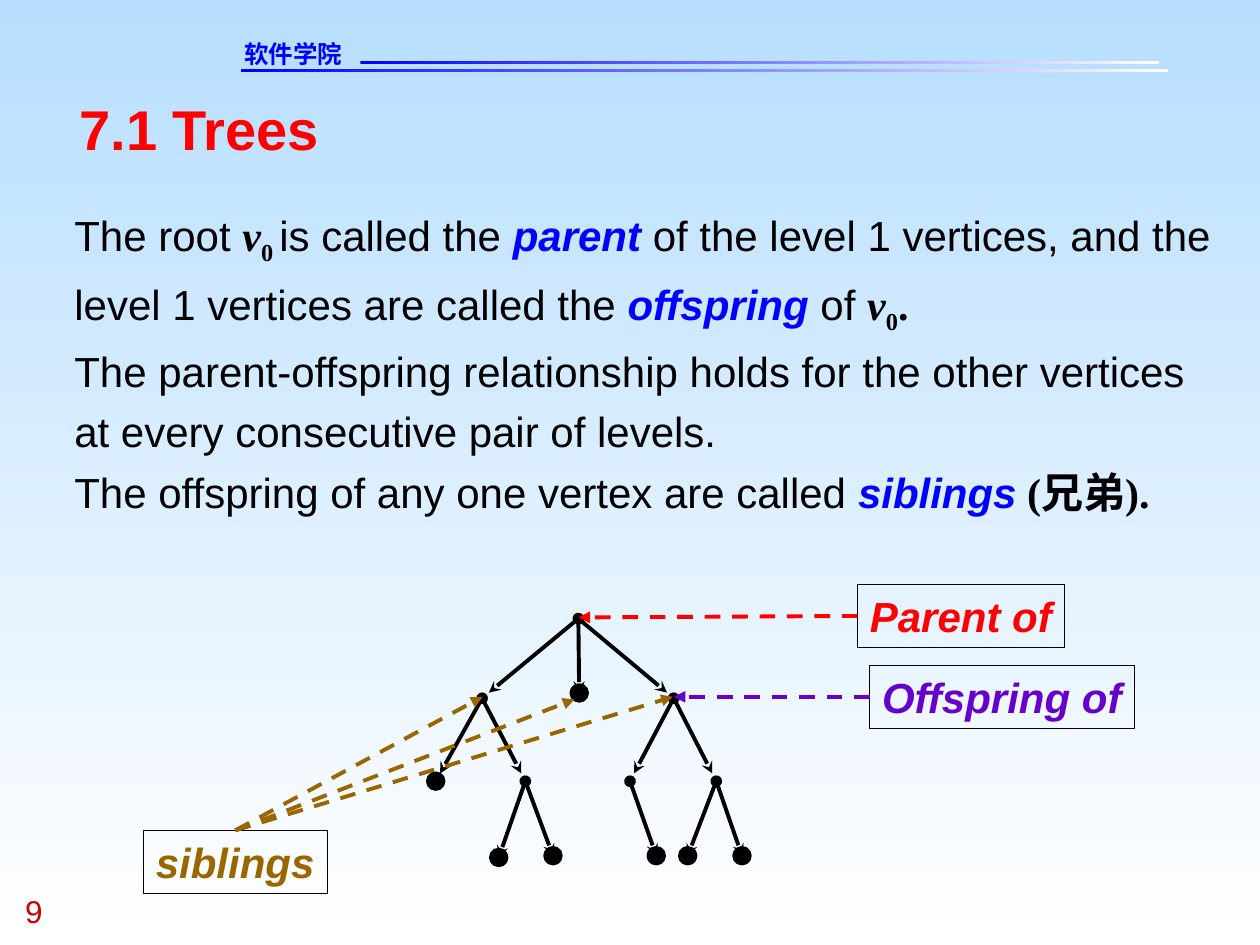
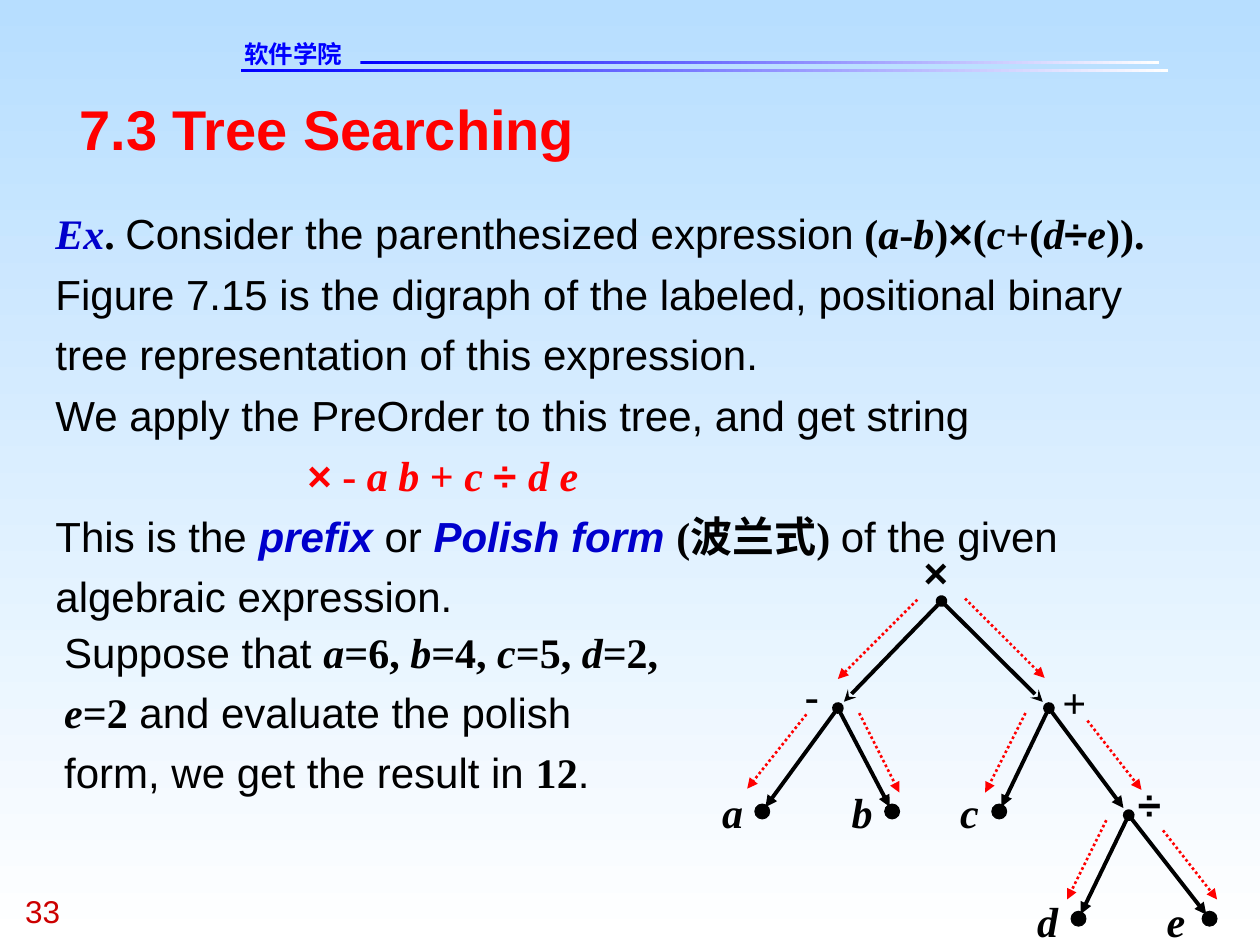
from math import hypot

from lxml.etree import SubElement
from pptx import Presentation
from pptx.dml.color import RGBColor
from pptx.enum.dml import MSO_LINE
from pptx.enum.shapes import MSO_CONNECTOR, MSO_SHAPE
from pptx.enum.text import MSO_ANCHOR, MSO_AUTO_SIZE, PP_ALIGN
from pptx.oxml.ns import qn
from pptx.util import Pt

# Shared colours and text formats
BLACK, RED, BLUE, NAVY = "000000", "FF0000", "0000FF", "0000CC"
PURPLE, BROWN, SKY, WHITE, NUMBER = "6600CC", "996600", "B7DEFF", "FFFFFF", "CC0000"
rgb = RGBColor.from_string

SANS, SERIF = "Arial", "Times New Roman"
FORMATS = {
    "text": dict(name=SANS, size=Pt(24), bold=False, italic=False),
    "sign": dict(name=SANS, size=Pt(24), bold=True, italic=False),
    "term": dict(name=SANS, size=Pt(24), bold=True, italic=True),
    "math": dict(name=SERIF, size=Pt(24), bold=True, italic=False),
    "sub": dict(name=SERIF, size=Pt(24), bold=True, italic=False),
    "var": dict(name=SERIF, size=Pt(24), bold=True, italic=True),
    "title": dict(name=SANS, size=Pt(32), bold=True, italic=False),
    "school": dict(name="DejaVu Sans", size=Pt(14), bold=True),
    "number": dict(name=SANS, size=Pt(18), bold=False),
}


def write(sp, paragraphs, spacing=1.0, margins=(0, 0), wrap=True):
    """Fill a shape; a run is (text, format) or (text, format, colour)."""
    tf = sp.text_frame
    tf.word_wrap, tf.auto_size = wrap, MSO_AUTO_SIZE.NONE
    tf.vertical_anchor = MSO_ANCHOR.TOP
    tf.margin_left = tf.margin_right = Pt(margins[0])
    tf.margin_top = tf.margin_bottom = Pt(margins[1])
    for i, runs in enumerate(paragraphs):
        p = tf.add_paragraph() if i else tf.paragraphs[0]
        p.alignment, p.line_spacing = PP_ALIGN.LEFT, spacing
        p.space_before = Pt(0)
        pPr = p._p.get_or_add_pPr()
        pPr.set("marL", "0")
        pPr.set("indent", "0")
        SubElement(pPr, qn("a:buNone"))
        for text, fmt, *color in runs:
            r = p.add_run()
            r.text = text
            for key, value in FORMATS[fmt].items():
                setattr(r.font, key, value)
            r.font.color.rgb = rgb(color[0] if color else BLACK)
            if fmt == "sub":
                r.font._element.set("baseline", "-25000")


def arrow(s, start, end, color, width, tail, head=None, dash=None):
    """Draw a straight arrow between two points."""
    c = s.shapes.add_connector(MSO_CONNECTOR.STRAIGHT, *map(Pt, (*start, *end)))
    c.line.color.rgb, c.line.width = rgb(color), Pt(width)
    if dash:
        c.line.dash_style = dash
    ln = c.line._get_or_add_ln()
    if head:
        SubElement(ln, qn("a:headEnd"), type=head)
    SubElement(ln, qn("a:tailEnd"), type=tail)
    SubElement(c._element.spPr, qn("a:effectLst"))
    return c


prs = Presentation()
prs.slide_width, prs.slide_height = Pt(720), Pt(540)
master = prs.slide_master

# Slide text
parent_text = [
    [("The root ", "text"), ("v", "var"), ("0 ", "sub"), ("is called the", "text"),
     (" parent ", "term", BLUE),
     ("of the level 1 vertices, and the level 1 vertices are called the", "text"),
     (" offspring ", "term", BLUE), ("of ", "text"), ("v", "var"), ("0", "sub"),
     (".", "math")],
    [("The parent-offspring relationship holds for the other vertices "
      "at every consecutive pair of levels.", "text")],
    [("The offspring of any one vertex are called", "text"),
     (" siblings", "term", BLUE), (" (兄弟).", "math")],
]
polish_text = [
    [("Ex", "var", NAVY), (". ", "math"),
     ("Consider the parenthesized expression", "text"), (" (", "math"),
     ("a", "var"), ("-", "math"), ("b", "var"), (")", "math"), ("×", "sign"),
     ("(", "math"), ("c", "var"), ("+(", "math"), ("d", "var"), ("÷", "sign"),
     ("e", "var"), (")).", "math")],
    [("Figure 7.15 is the digraph of the labeled, positional binary tree "
      "representation of this expression.", "text")],
    [("We apply the PreOrder to this tree, and get string", "text")],
    [("×", "sign", RED), (" - ", "math", RED), ("a b ", "var", RED),
     ("+ ", "math", RED), ("c ", "var", RED), ("÷ ", "sign", RED),
     ("d e", "var", RED)],
    [("This is the ", "text"), ("prefix ", "term", NAVY), ("or ", "text"),
     ("Polish form ", "term", NAVY), ("(波兰式) ", "math"),
     ("of the given algebraic expression.", "text")],
]
pages = [
    ("7.1 Trees", "9", parent_text, (42.5, 113, 653, 217)),
    ("7.3 Tree Searching", "33", polish_text, (31.7, 113, 655, 276.5)),
]

# Title, body and page number of each slide
for title, number, body, box in pages:
    s = prs.slides.add_slide(prs.slide_layouts[1])
    heading, content = s.placeholders
    for sp, place in ((heading, (45.4, 54, 630, 38)), (content, box)):
        sp.left, sp.top, sp.width, sp.height = map(Pt, place)
    write(heading, [[(title, "title", RED)]])
    write(content, body, spacing=1.2)
    sp = s.shapes.add_textbox(Pt(14.4), Pt(509.8), Pt(54), Pt(21.6))
    write(sp, [[(number, "number", NUMBER)]])
trees, search = prs.slides

# Master: background, two header rules and the school name
rules = [trees.shapes.add_shape(MSO_SHAPE.RECTANGLE, *map(Pt, place))
         for place in ((137.5, 39.6, 530, 1.6), (206, 35, 456.5, 1.6))]
for fill, angle, colors in [(master.background.fill, 270, (SKY, WHITE)),
                            *((sp.fill, 0, (BLUE, WHITE)) for sp in rules)]:
    fill.gradient()
    fill.gradient_angle = angle
    for stop, color in zip(fill.gradient_stops, colors):
        stop.color.rgb = rgb(color)
for sp in rules:
    sp.line.fill.background()
    sp.shadow.inherit = False
school = trees.shapes.add_textbox(Pt(139.5), Pt(22.5), Pt(104.5), Pt(16.6))
write(school, [[("软件学院", "school", BLUE)]])
for sp in (*rules, school):
    master.shapes._spTree.append(sp._element)

# The string in prefix form is indented
search.placeholders[1].text_frame.paragraphs[3]._p.pPr.set("marL", str(Pt(144)))

# Trees: node -> (x, y, gap left before the arrow tip), parent -> children
level_nodes = {
    "root": (330.5, 353.5, 0),
    "left": (275.5, 399, 5), "middle": (331, 396, 0), "right": (385, 399, 5),
    "L1": (249, 446.4, 5), "L2": (300.2, 446.4, 5),
    "R1": (360, 446.4, 5), "R2": (409.3, 446.4, 5),
    "L21": (285, 490, 0), "L22": (316, 489, 0), "R11": (375, 489, 0),
    "R21": (393, 489, 0), "R22": (424, 489, 0),
}
level_edges = {
    "root": ("left", "middle", "right"), "left": ("L1", "L2"), "right": ("R1", "R2"),
    "L2": ("L21", "L22"), "R1": ("R11",), "R2": ("R21", "R22"),
}
expr_nodes = {
    "×": (538, 343.5, 0), "-": (478.8, 404.6, 5), "+": (599.4, 404.6, 5),
    "a": (435.6, 463.7, 3), "b": (509.8, 463.7, 3), "c": (571, 463.7, 3),
    "÷": (645, 465.8, 5), "d": (616.3, 525, 3), "e": (691.2, 525, 3),
}
expr_edges = {"×": ("-", "+"), "-": ("a", "b"), "+": ("c", "÷"), "÷": ("d", "e")}

for s, nodes, edges, tips, outline in (
        (trees, level_nodes, level_edges, ("stealth", "stealth"), 2.5),
        (search, expr_nodes, expr_edges, ("stealth", "triangle"), 0.5)):
    for i, (parent, children) in enumerate(edges.items()):
        x0, y0, _ = nodes[parent]
        for j, child in enumerate(children):
            x, y, gap = nodes[child]
            k = 1 - gap / hypot(x - x0, y - y0)
            arrow(s, (x0, y0), (x0 + k * (x - x0), y0 + k * (y - y0)), BLACK, 2.25,
                  tips[min(i, 1)], head=None if j else "oval")
    for name, (x, y, _) in nodes.items():
        if name not in edges:
            sp = s.shapes.add_shape(MSO_SHAPE.OVAL, Pt(x - 4.3), Pt(y - 4.3),
                                    Pt(8.6), Pt(8.6))
            sp.fill.solid()
            sp.fill.fore_color.rgb = sp.line.color.rgb = rgb(BLACK)
            sp.line.width = Pt(outline)
            sp.shadow.inherit = False

# Slide 1: callouts, each with the side and targets of its dashed arrows
callouts = [
    ("Parent of", RED, (490, 334, 118.4, 36), 1, [(330.5, 352.8)]),
    ("Offspring of", PURPLE, (497, 380.2, 151.2, 36), 1, [(385, 398.2)]),
    ("siblings", BROWN, (82, 474.5, 105, 36), 0,
     [(275.8, 398.2), (328.3, 399.6), (384.5, 398.2)]),
]
for text, color, place, side, targets in callouts:
    sp = trees.shapes.add_shape(MSO_SHAPE.RECTANGLE, *map(Pt, place))
    sp.fill.background()
    sp.line.color.rgb, sp.line.width = rgb(BLACK), Pt(0.75)
    sp.shadow.inherit = False
    write(sp, [[(text, "term", color)]], margins=(7.2, 3.6), wrap=False)
    for target in targets:
        c = arrow(trees, place[:2], target, color, 2.25, "triangle",
                  dash=MSO_LINE.DASH)
        c.begin_connect(sp, side)

# Slide 2: node labels
labels = [
    ("×", "sign", 527.8, 312.5, 19.4), ("-", "math", 460, 382.3, 8),
    ("+", "math", 607, 386.6, 13.7), ("÷", "sign", 650.2, 445, 19.4),
    ("a", "var", 412.6, 449.3, 12.2), ("b", "var", 486.7, 449.3, 12.2),
    ("c", "var", 548.6, 449.3, 10.8), ("d", "var", 592.6, 512, 12.2),
    ("e", "var", 666.7, 512, 10.8),
]
for text, fmt, x, y, width in labels:
    sp = search.shapes.add_textbox(Pt(x), Pt(y), Pt(width), Pt(28.8))
    write(sp, [[(text, fmt)]], wrap=False)

# Slide 2: dotted arrows of the search order
steps = [
    ((524.2, 342.7), (478.8, 388)), ((551.5, 342), (596.9, 387.4)),
    ((460.8, 408.2), (427, 450.7)), ((491, 407.5), (514, 452.9)),
    ((586, 407.5), (563, 452.9)), ((621.4, 411.8), (652.3, 451.4)),
    ((632.2, 468.7), (609.8, 514)), ((664.6, 474.5), (695.5, 514)),
]
for start, end in steps:
    arrow(search, start, end, RED, 1.5, "triangle", dash=MSO_LINE.ROUND_DOT)

# Slide 2: evaluation
sp = search.shapes.add_textbox(Pt(36.7), Pt(352), Pt(350.6), Pt(103.7))
write(sp, [[
    ("Suppose that ", "text"), ("a", "var"), ("=6, ", "math"), ("b", "var"),
    ("=4, ", "math"), ("c", "var"), ("=5, ", "math"), ("d", "var"),
    ("=2, ", "math"), ("e", "var"), ("=2", "math"),
    (" and evaluate the polish form, we get the result in ", "text"),
    ("12", "math"), (".", "text")]], spacing=1.2)

prs.save("out.pptx")
